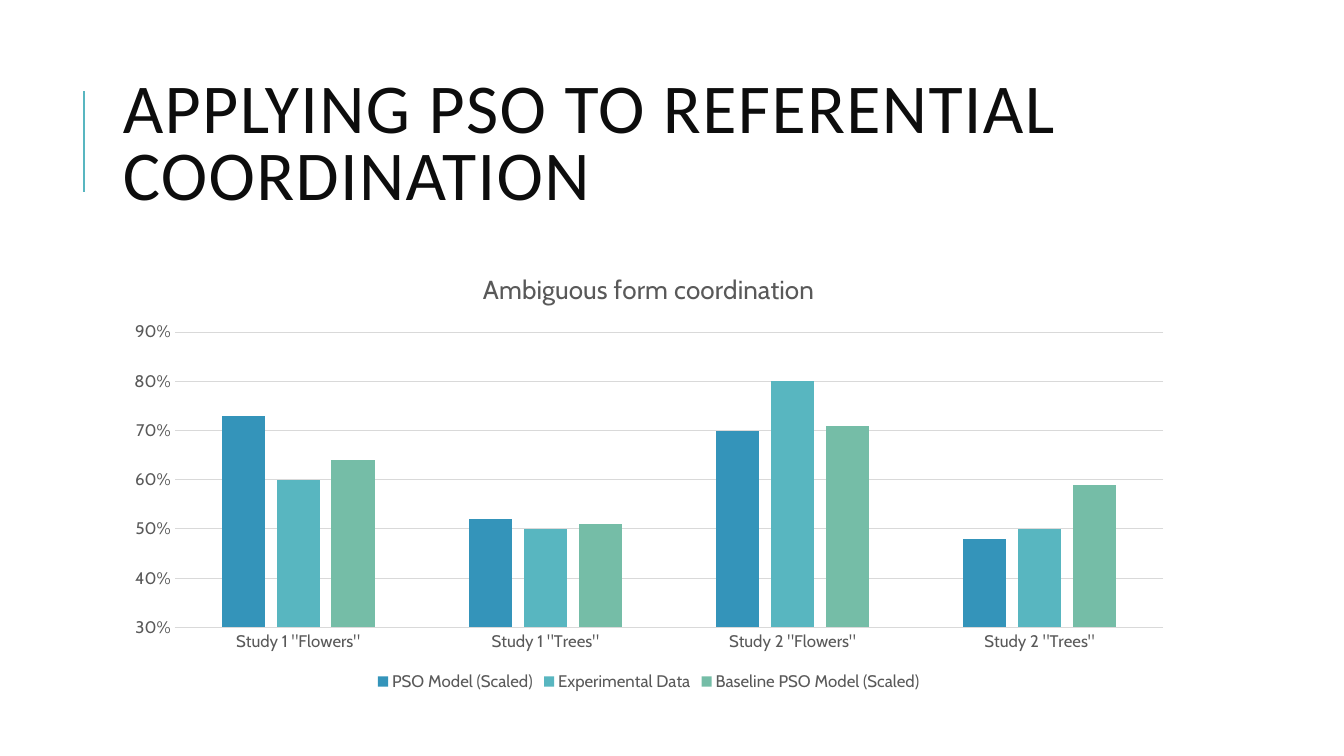
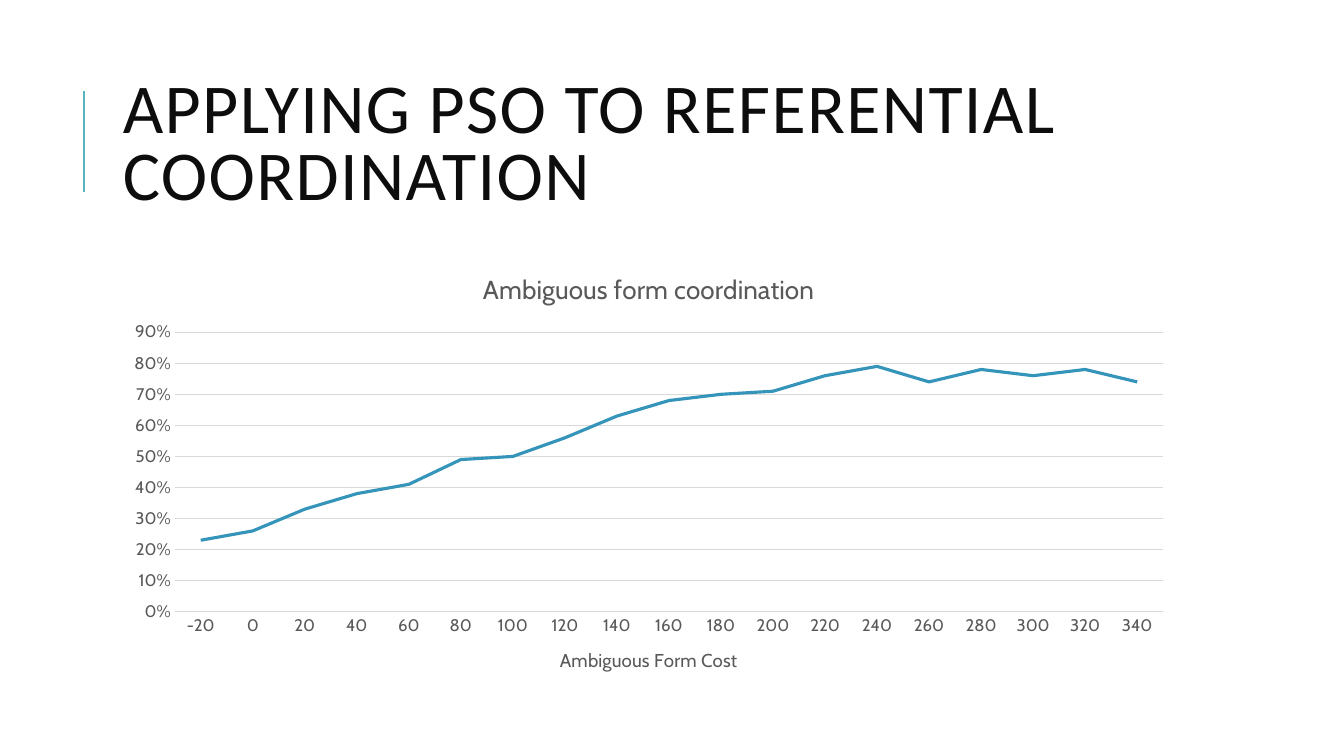
from dataclasses import dataclass

import lxml.etree
import pptx
import pptx.chart.data
import pptx.dml.color
import pptx.enum.chart
import pptx.enum.shapes
import pptx.enum.text
import pptx.oxml.ns
import pptx.util

Inches, Pt = pptx.util.Inches, pptx.util.Pt
RGBColor = pptx.dml.color.RGBColor
ChartType = pptx.enum.chart.XL_CHART_TYPE

# Shared look
BLUE = RGBColor(0x34, 0x94, 0xBA)
TEAL = RGBColor(0x58, 0xB6, 0xC0)
GREEN = RGBColor(0x75, 0xBD, 0xA7)
INK = RGBColor(0x0D, 0x0D, 0x0D)
GREY = RGBColor(0x59, 0x59, 0x59)
RULE = RGBColor(0xD9, 0xD9, 0xD9)
HEAD_FONT, BODY_FONT = "Calibri", "Cabin"
LEFT, WIDTH = Inches(1.12), Inches(10.63)
TITLE = "APPLYING PSO TO REFERENTIAL COORDINATION"
CHART_TITLE = "Ambiguous form coordination"


@dataclass
class Series:
    name: str
    values: list[float]
    color: RGBColor


@dataclass
class ChartSpec:
    kind: ChartType
    categories: list[str]
    series: list[Series]
    minimum: float = 0.0
    axis_title: str = ""
    legend: bool = False


CHARTS = [
    ChartSpec(
        ChartType.COLUMN_CLUSTERED,
        [f'Study {n} "{kind}"' for n in (1, 2) for kind in ("Flowers", "Trees")],
        [
            Series("PSO Model (Scaled)", [0.73, 0.52, 0.70, 0.48], BLUE),
            Series("Experimental Data", [0.60, 0.50, 0.80, 0.50], TEAL),
            Series("Baseline PSO Model (Scaled)", [0.64, 0.51, 0.71, 0.59], GREEN),
        ],
        minimum=0.3,
        legend=True,
    ),
    ChartSpec(
        ChartType.LINE,
        [str(cost) for cost in range(-20, 341, 20)],
        [Series("Series 1", [0.23, 0.26, 0.33, 0.38, 0.41, 0.49, 0.50, 0.56, 0.63, 0.68,
                             0.70, 0.71, 0.76, 0.79, 0.74, 0.78, 0.76, 0.78, 0.74], BLUE)],
        axis_title="Ambiguous Form Cost",
    ),
]


def set_font(font, size: float = 12, color: RGBColor = GREY, name: str = BODY_FONT) -> None:
    font.size, font.name, font.bold = Pt(size), name, False
    font.color.rgb = color


def write_text(tf, text: str, *, size: float, color: RGBColor = GREY, name: str = BODY_FONT,
               line_spacing: float | None = None, tracking: float = 0) -> None:
    p = tf.paragraphs[0]
    p.line_spacing = line_spacing
    r = p.add_run()
    r.text = text
    set_font(r.font, size, color, name)
    if tracking:
        r.font._element.set("spc", str(int(tracking * 100)))


def set_line(line, color: RGBColor, width: float) -> None:
    line.color.rgb, line.width = color, Pt(width)


def add_heading(s) -> None:
    # Accent rule
    x = Inches(0.83)
    rule = s.shapes.add_connector(pptx.enum.shapes.MSO_CONNECTOR.STRAIGHT,
                                  x, Inches(1.9), x, Inches(0.9))
    set_line(rule.line, TEAL, 1.5)
    lxml.etree.SubElement(rule._element.spPr, pptx.oxml.ns.qn("a:effectLst"))

    # Title
    sp = s.shapes.add_textbox(LEFT, Inches(0.64), WIDTH, Inches(1.64))
    tf = sp.text_frame
    tf.word_wrap = True
    tf.vertical_anchor = pptx.enum.text.MSO_ANCHOR.MIDDLE
    write_text(tf, TITLE, size=50, color=INK, name=HEAD_FONT, line_spacing=0.8, tracking=1)


def style_axes(chart, spec: ChartSpec) -> None:
    cat, val = chart.category_axis, chart.value_axis
    for axis in (cat, val):
        axis.major_tick_mark = axis.minor_tick_mark = pptx.enum.chart.XL_TICK_MARK.NONE
        set_font(axis.tick_labels.font)
    set_line(cat.format.line, RULE, 0.75)
    if spec.axis_title:
        write_text(cat.axis_title.text_frame, spec.axis_title, size=13.3)

    val.minimum_scale, val.maximum_scale, val.major_unit = spec.minimum, 0.9, 0.1
    val.tick_labels.number_format = "0%"
    val.tick_labels.number_format_is_linked = False
    val.format.line.fill.background()
    set_line(val.major_gridlines.format.line, RULE, 0.75)


def add_chart(s, spec: ChartSpec) -> None:
    data = pptx.chart.data.CategoryChartData(number_format="0%")
    data.categories = spec.categories
    for item in spec.series:
        data.add_series(item.name, item.values)
    chart = s.shapes.add_chart(spec.kind, LEFT, Inches(2.5), WIDTH, Inches(4.4), data).chart
    set_font(chart.font)
    chart.has_title = True
    write_text(chart.chart_title.text_frame, CHART_TITLE, size=18.6)
    style_axes(chart, spec)

    # Legend
    chart.has_legend = spec.legend
    if spec.legend:
        chart.legend.position = pptx.enum.chart.XL_LEGEND_POSITION.BOTTOM
        chart.legend.include_in_layout = False
        set_font(chart.legend.font)

    # Series
    plot = chart.plots[0]
    plot.vary_by_categories = False
    is_line = spec.kind == ChartType.LINE
    if not is_line:
        plot.gap_width, plot.overlap = 219, -27
    for series, item in zip(plot.series, spec.series):
        if is_line:
            series.smooth = False
            set_line(series.format.line, item.color, 2.25)
        else:
            series.format.fill.solid()
            series.format.fill.fore_color.rgb = item.color


def main() -> None:
    prs = pptx.Presentation()
    prs.slide_width, prs.slide_height = Inches(13.33), Inches(7.5)
    for spec in CHARTS:
        s = prs.slides.add_slide(prs.slide_layouts[6])
        add_heading(s)
        add_chart(s, spec)
    prs.save("out.pptx")


if __name__ == "__main__":
    main()
